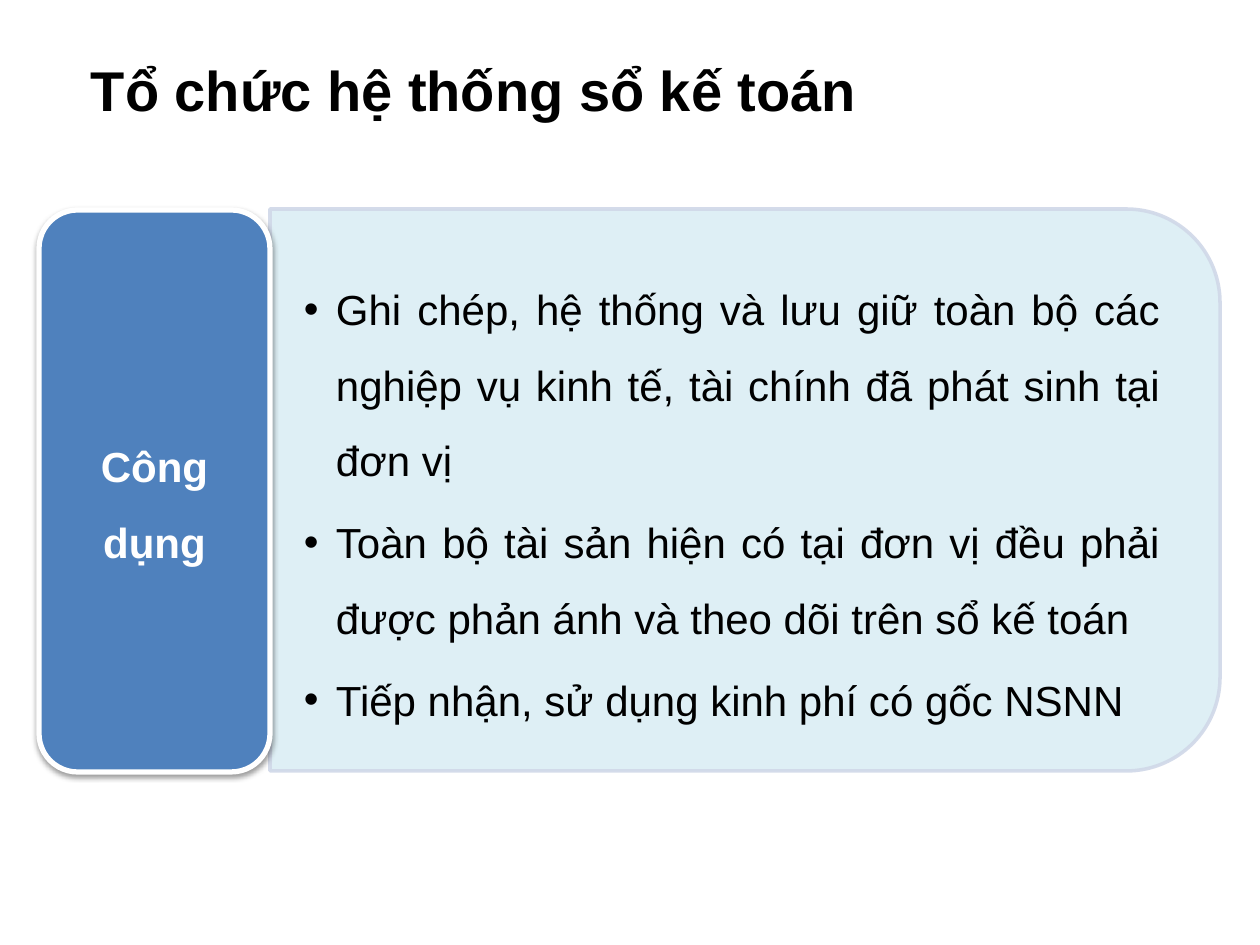
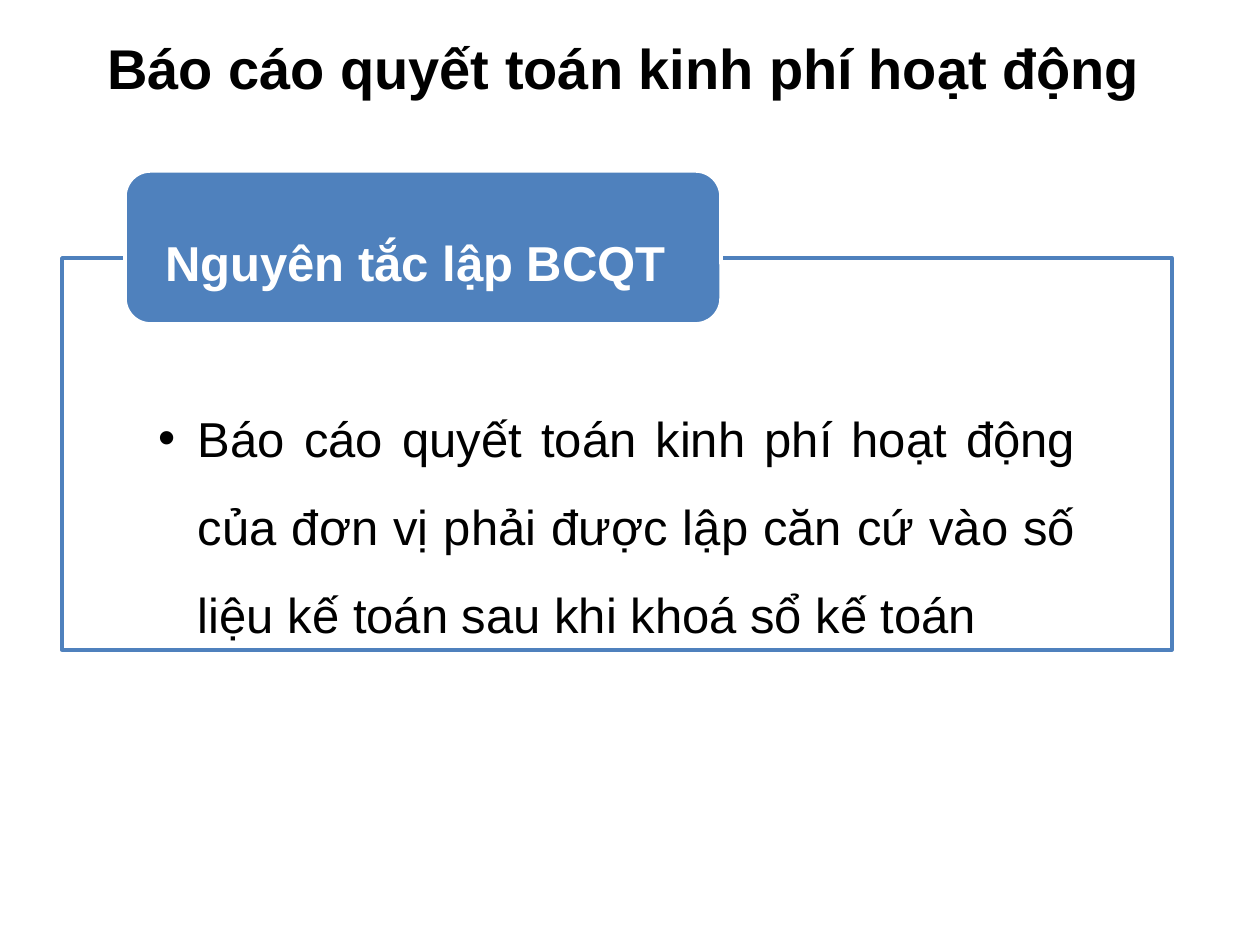
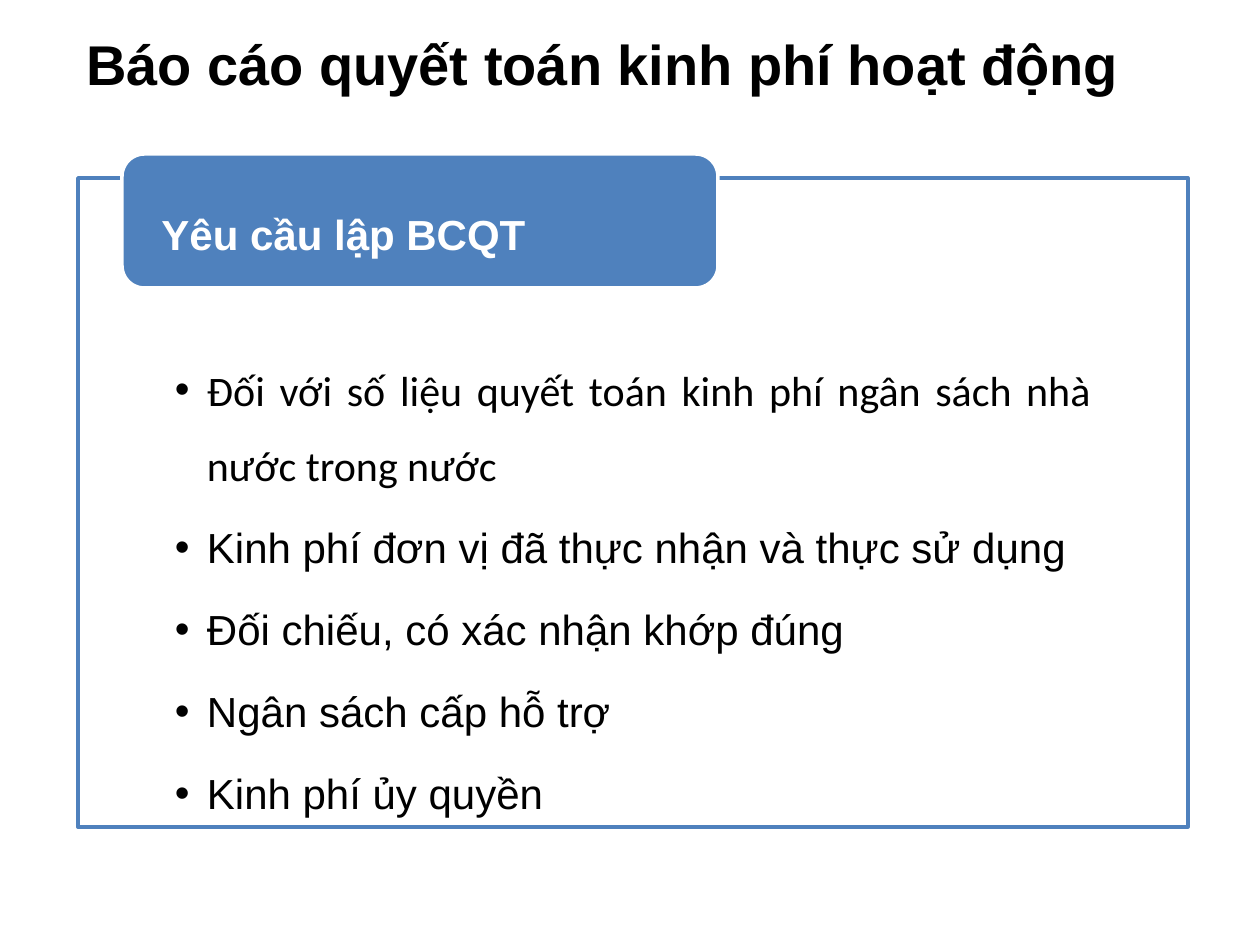
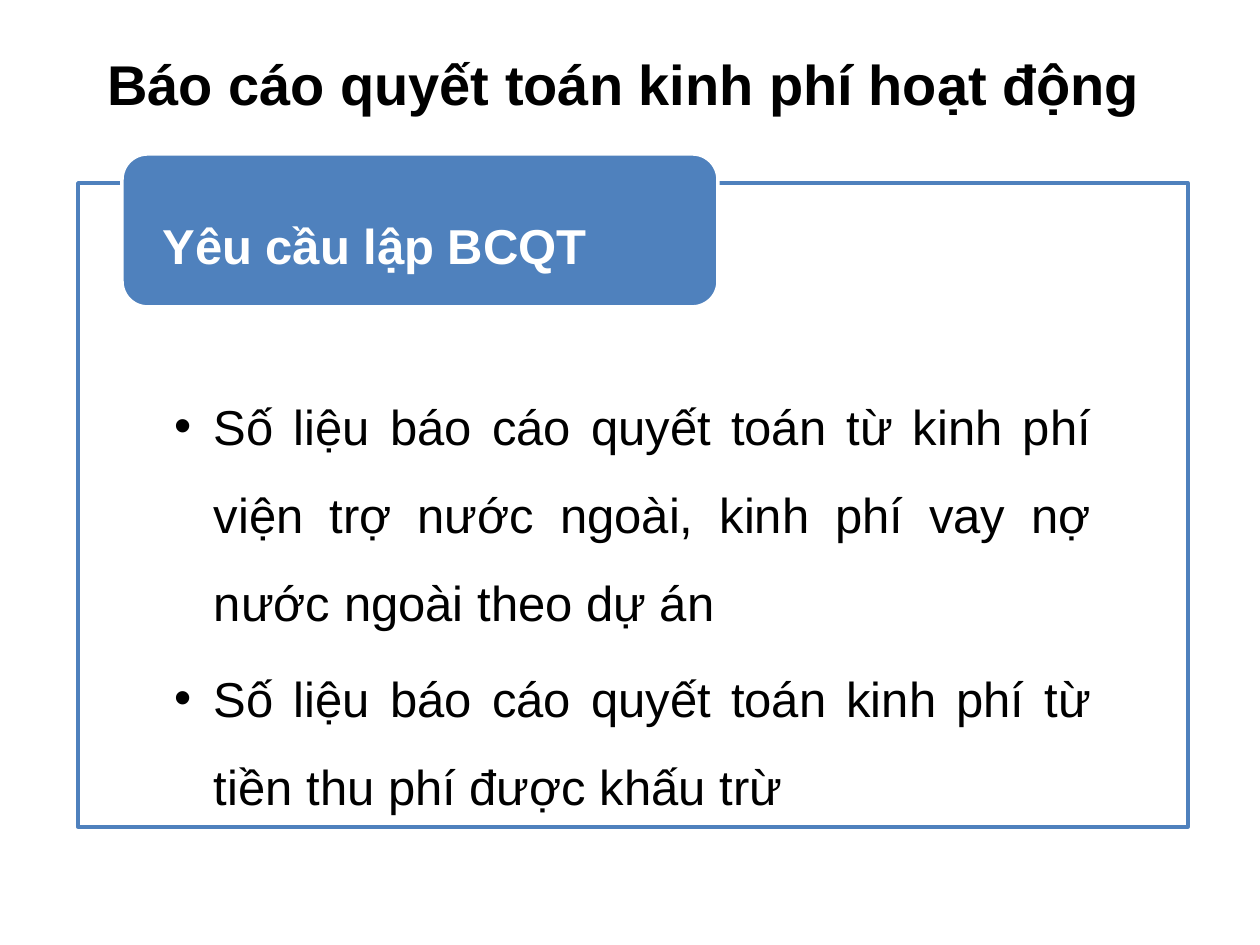
"""Build four slides on accounting books and budget settlement reports."""
from lxml import etree
from pptx import Presentation
from pptx import util as u
from pptx.dml.color import RGBColor
from pptx.enum import shapes, text
from pptx.oxml import parse_xml
from pptx.oxml.ns import qn

EMU_PER_PX = 914400 / 126
COLORS = {"ink": "000000", "white": "FFFFFF", "blue": "4F81BD",
          "pale": "DBEEF4", "edge": "D0D8E8"}
DRAWING_NS = "http://schemas.openxmlformats.org/drawingml/2006/main"
REPORT = "Báo cáo quyết toán kinh phí hoạt động"
ALIGN, ANCHOR = text.PP_ALIGN, text.MSO_ANCHOR
SHAPE = shapes.MSO_SHAPE

SLIDES = [
    {"title": "Tổ chức hệ thống sổ kế toán", "title_box": (78, 49, 825, 81),
     "label": "Công dụng", "label_box": (39, 210, 231, 562),
     "panel_box": (270, 209, 950, 562), "style": "tab",
     "list_box": (270, 238, 924, 507), "insets": (34, 18, 34, 18), "size": 24,
     "points": [
         "Ghi chép, hệ thống và lưu giữ toàn bộ các nghiệp vụ kinh tế, "
         "tài chính đã phát sinh tại đơn vị",
         "Toàn bộ tài sản hiện có tại đơn vị đều phải được phản ánh "
         "và theo dõi trên sổ kế toán",
         "Tiếp nhận, sử dụng kinh phí có gốc NSNN"]},
    {"title": REPORT, "title_box": (94, 28, 1072, 81),
     "label": "Nguyên tắc lập BCQT", "label_box": (125, 171, 596, 153),
     "panel_box": (62, 258, 1110, 392), "style": "frame",
     "insets": (97, 121, 97, 28), "size": 28,
     "points": [
         "Báo cáo quyết toán kinh phí hoạt động của đơn vị phải được lập "
         "căn cứ vào số liệu kế toán sau khi khoá sổ kế toán"]},
    {"title": REPORT, "title_box": (73, 23, 1077, 81),
     "label": "Yêu cầu lập BCQT", "label_box": (122, 154, 596, 134),
     "panel_box": (78, 178, 1110, 649), "style": "frame",
     "insets": (97, 161, 97, 24), "size": 24, "first_font": "Calibri",
     "points": [
         "Đối với số liệu quyết toán kinh phí ngân sách nhà nước trong nước",
         "Kinh phí đơn vị đã thực nhận và thực sử dụng",
         "Đối chiếu, có xác nhận khớp đúng",
         "Ngân sách cấp hỗ trợ",
         "Kinh phí ủy quyền"]},
    {"title": REPORT, "title_box": (94, 43, 1072, 81),
     "label": "Yêu cầu lập BCQT", "label_box": (122, 154, 596, 153),
     "panel_box": (78, 183, 1110, 644), "style": "frame",
     "insets": (97, 184, 97, 28), "size": 28,
     "points": [
         "Số liệu báo cáo quyết toán từ kinh phí viện trợ nước ngoài, "
         "kinh phí vay nợ nước ngoài theo dự án",
         "Số liệu báo cáo quyết toán kinh phí từ tiền thu phí được khấu trừ"]},
]
STYLES = {
    "tab": {"panel": SHAPE.ROUND_2_SAME_RECTANGLE, "turn": 90, "fill": "pale",
            "line": "edge", "line_alpha": 90, "label_line": 3, "shadow": True,
            "align": ALIGN.CENTER, "label_insets": (13, 6, 13, 6),
            "anchor": ANCHOR.MIDDLE},
    "frame": {"panel": SHAPE.RECTANGLE, "turn": 0, "fill": "white",
              "line": "blue", "line_alpha": 100, "label_line": 2, "shadow": False,
              "align": ALIGN.JUSTIFY, "label_insets": (33, 0, 33, 0),
              "anchor": ANCHOR.TOP},
}


def px(length):
    """Turn pixels into EMU."""
    return u.Emu(round(length * EMU_PER_PX))


def place(shape, box):
    """Move and size a shape."""
    shape.left, shape.top, shape.width, shape.height = map(px, box)


def paint(fill, color, alpha=100):
    """Give a fill a solid colour and opacity."""
    fill.solid()
    fill.fore_color.rgb = RGBColor.from_string(COLORS[color])
    if alpha < 100:
        rgb = fill._xPr.find(".//" + qn("a:srgbClr"))
        etree.SubElement(rgb, qn("a:alpha")).set("val", str(alpha * 1000))


def add_box(slide, kind, box, fill, line, width, alpha=100, line_alpha=100, turn=0):
    """Add a preset shape, turned about the middle of its visible box."""
    left, top, wide, high = box
    if turn:
        shift = (wide - high) // 2
        box = (left + shift, top - shift, high, wide)
    shape = slide.shapes.add_shape(kind, *map(px, box))
    shape.rotation = turn
    shape.shadow.inherit = False
    paint(shape.fill, fill, alpha)
    shape.line.width = u.Pt(width)
    paint(shape.line.fill, line, line_alpha)
    return shape


def add_shadow(shape):
    """Cast a soft shadow straight down."""
    effects = shape.element.spPr.find(qn("a:effectLst"))
    effects.append(parse_xml(
        f'<a:outerShdw xmlns:a="{DRAWING_NS}" blurRad="40000" dist="20000" '
        f'dir="5400000" rotWithShape="0"><a:srgbClr val="{COLORS["ink"]}">'
        '<a:alpha val="38000"/></a:srgbClr></a:outerShdw>'))


def write(shape, lines, size, color="ink", bold=False, align=ALIGN.LEFT,
          anchor=ANCHOR.TOP, insets=(13, 6, 13, 6), spacing=None, after=0,
          hang=0, first_font="Arial"):
    """Write paragraphs, bulleted when a hanging indent is given."""
    frame = shape.text_frame
    frame.word_wrap, frame.auto_size = True, text.MSO_AUTO_SIZE.NONE
    frame.vertical_anchor = anchor
    (frame.margin_left, frame.margin_top,
     frame.margin_right, frame.margin_bottom) = map(px, insets)
    for index, line in enumerate(lines):
        paragraph = frame.add_paragraph() if index else frame.paragraphs[0]
        paragraph.text = line
        paragraph.alignment = align
        paragraph.space_before = u.Pt(0)
        paragraph.space_after = u.Pt(size * after)
        if spacing:
            paragraph.line_spacing = spacing
        if hang:
            paragraph.level = 1
            props = paragraph._p.get_or_add_pPr()
            props.set("marL", str(px(hang)))
            props.set("indent", str(-px(hang)))
            etree.SubElement(props, qn("a:buFont")).set("typeface", "Arial")
            etree.SubElement(props, qn("a:buChar")).set("char", "•")
        font = paragraph.runs[0].font
        font.name = "Arial" if index else first_font
        font.size, font.bold = u.Pt(size), bold
        font.color.rgb = RGBColor.from_string(COLORS[color])


def build_slide(deck, content):
    """Lay out a title, a panel with its list, and a label."""
    slide = deck.slides.add_slide(deck.slide_layouts[1])
    style, size = STYLES[content["style"]], content["size"]
    title, points = slide.placeholders
    place(title, content["title_box"])
    write(title, [content["title"]], 32, bold=True)

    add_box(slide, style["panel"], content["panel_box"], style["fill"],
            style["line"], 2, alpha=90, line_alpha=style["line_alpha"],
            turn=style["turn"])
    slide.shapes.element.append(points.element)
    place(points, content.get("list_box", content["panel_box"]))
    write(points, content["points"], size, align=ALIGN.JUSTIFY,
          anchor=style["anchor"], insets=content["insets"], spacing=1.5,
          after=0.15, hang=32 if size == 24 else 39,
          first_font=content.get("first_font", "Arial"))

    label = add_box(slide, SHAPE.ROUNDED_RECTANGLE, content["label_box"],
                    "blue", "white", style["label_line"])
    if style["shadow"]:
        add_shadow(label)
    write(label, [content["label"]], size, color="white", bold=True,
          align=style["align"], anchor=ANCHOR.MIDDLE,
          insets=style["label_insets"], spacing=1.5, after=0.35)


def main():
    """Build and save the deck."""
    deck = Presentation()
    deck.slide_width, deck.slide_height = px(1260), px(945)
    for content in SLIDES:
        build_slide(deck, content)
    deck.save("out.pptx")


if __name__ == "__main__":
    main()
